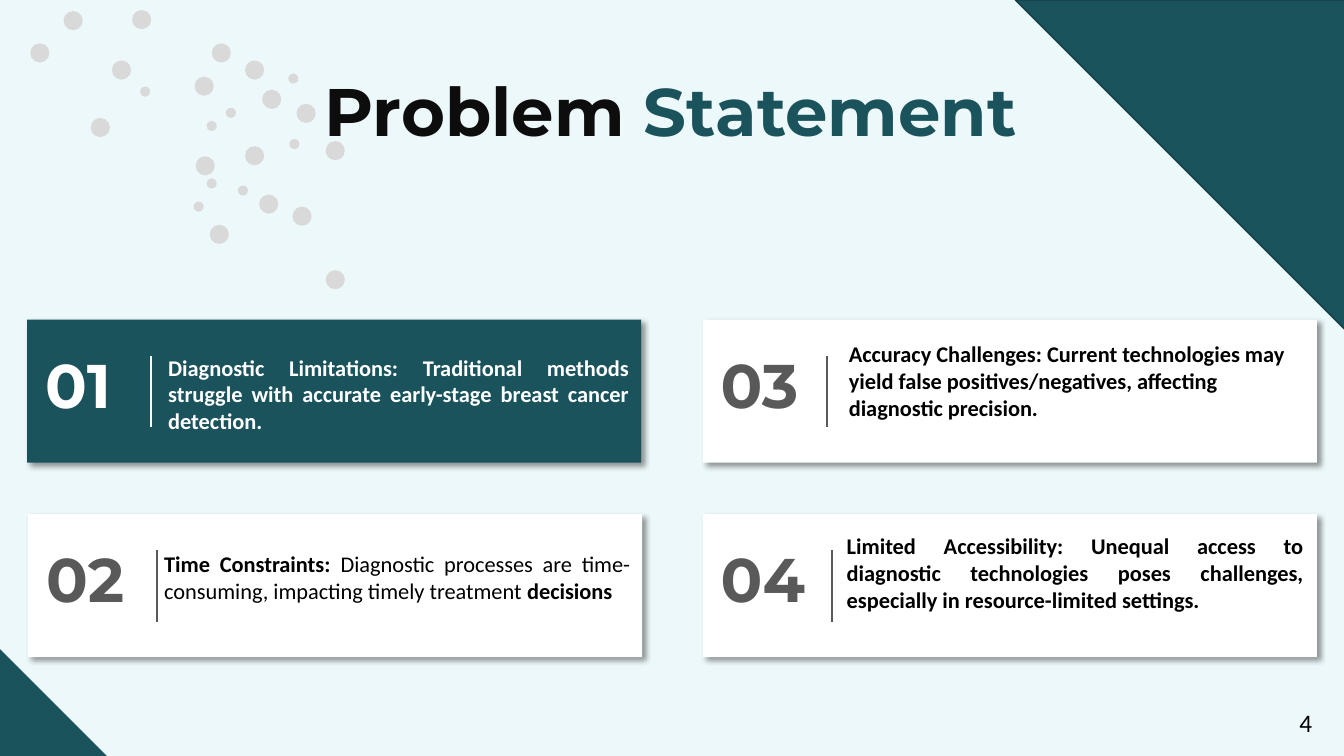
from lxml import etree
from pptx import Presentation
from pptx.dml import color
from pptx.enum import shapes, text
from pptx.oxml import ns
from pptx.util import Inches, Pt

TEAL, DARK_TEAL, PALE = "1A535C", "133D44", "EDF8FA"
WHITE, BLACK, INK, GREY, DOT = "FFFFFF", "000000", "0D0D0D", "595959", "D9D9D9"
HEADING, BODY = "Montserrat", "Calibri"
LEFT, JUSTIFY, CENTER = text.PP_ALIGN.LEFT, text.PP_ALIGN.JUSTIFY, text.PP_ALIGN.CENTER


def rgb(value):
    return color.RGBColor.from_string(value)


class Deck:
    """Holds the presentation, its current slide and the shared style."""

    def __init__(self, width, height):
        self.deck = Presentation()
        self.deck.slide_width, self.deck.slide_height = Inches(width), Inches(height)
        self.slide = self.deck.slides.add_slide(self.deck.slide_layouts[6])
        self.slide.background.fill.solid()
        self.slide.background.fill.fore_color.rgb = rgb(PALE)

    def shape(self, kind, left, top, width, height, fill, outline=None):
        item = self.slide.shapes.add_shape(
            kind, Inches(left), Inches(top), Inches(width), Inches(height))
        item.shadow.inherit = False
        item.fill.solid()
        item.fill.fore_color.rgb = rgb(fill)
        if outline:
            item.line.color.rgb = rgb(outline)
            item.line.width = Pt(1)
        else:
            item.line.fill.background()
        return item

    def dots(self, places, size):
        for x, y in places:
            self.shape(shapes.MSO_SHAPE.OVAL, x, y, size, size, DOT)

    def panel(self, left, top, width, height, fill):
        panel = self.shape(shapes.MSO_SHAPE.RECTANGLE, left, top, width, height, fill)
        effects = panel.element.spPr.find(ns.qn("a:effectLst"))
        shadow = etree.SubElement(
            effects, ns.qn("a:outerShdw"), blurRad=str(Pt(4)), dist=str(Pt(3)),
            dir="2700000", algn="tl", rotWithShape="0")
        tint = etree.SubElement(shadow, ns.qn("a:srgbClr"), val=BLACK)
        etree.SubElement(tint, ns.qn("a:alpha"), val="40000")

    def rule(self, x, top, bottom, ink):
        rule = self.slide.shapes.add_connector(
            shapes.MSO_CONNECTOR.STRAIGHT, Inches(x), Inches(top), Inches(x), Inches(bottom))
        rule.line.color.rgb = rgb(ink)
        rule.line.width = Pt(1.5)
        etree.SubElement(rule.element.spPr, ns.qn("a:effectLst"))

    def text(self, left, top, width, height, runs, font, size, ink=None, bold=None, align=LEFT):
        box = self.slide.shapes.add_textbox(
            Inches(left), Inches(top), Inches(width), Inches(height))
        frame = box.text_frame
        frame.word_wrap = True
        frame.auto_size = text.MSO_AUTO_SIZE.SHAPE_TO_FIT_TEXT
        line = frame.paragraphs[0]
        line.alignment = align
        line.font.name, line.font.size, line.font.bold = font, Pt(size), bold
        if ink:
            line.font.color.rgb = rgb(ink)
        for words, run_ink, run_bold in runs:
            run = line.add_run()
            run.text = words
            if run_ink:
                run.font.color.rgb = rgb(run_ink)
            if run_bold is not None:
                run.font.bold = run_bold

    def card(self, left, top, number, runs, body, rule_x, fill=WHITE, ink=BLACK,
             accent=GREY, align=JUSTIFY):
        self.panel(left, top, 6.09, 1.42, fill)
        self.text(left + 0.08, top + 0.22, 1.11, 0.98, [(number, None, None)],
                  HEADING, 44, accent, True)
        bold = True if len(runs) == 1 else None
        self.text(*body, runs, BODY, 16, ink, bold, align)
        self.rule(rule_x, top + 0.36, top + 1.07, accent)

    def save(self):
        self.deck.save("out.pptx")


LARGE_DOTS = [
    (1.31, 0.1), (3.23, 2.68), (3.23, 1.4), (2.9, 2.05), (2.08, 2.23), (2.1, 0.43),
    (1.93, 0.76), (0.3, 0.43), (1.11, 0.6), (2.43, 0.6), (2.94, 1.03), (2.57, 1.93),
    (0.9, 1.17), (0.63, 0.11), (1.94, 1.55), (2.6, 0.89), (2.43, 1.45)]
SMALL_DOTS = [
    (2.87, 1.38), (2.24, 1.07), (2.86, 0.73), (1.92, 2), (2.05, 1.77), (2.36, 1.84),
    (1.39, 0.86), (2.05, 1.2)]
LIMITATIONS = [(
    "Diagnostic Limitations: Traditional methods struggle with accurate "
    "early-stage breast cancer detection.", None, None)]
TIME = [
    ("Time Constraints: ", None, True),
    ("Diagnostic processes are time-consuming, impacting timely treatment ", None, False),
    ("decisions", None, True)]
ACCURACY = [(
    "Accuracy Challenges: Current technologies may yield false positives/negatives, "
    "affecting diagnostic precision.", None, None)]
ACCESS = [(
    "Limited Accessibility: Unequal access to diagnostic technologies poses challenges, "
    "especially in resource-limited settings.", None, None)]


def main():
    deck = Deck(13.33, 7.5)
    deck.dots(LARGE_DOTS, 0.19)
    deck.dots(SMALL_DOTS, 0.1)

    triangle = shapes.MSO_SHAPE.RIGHT_TRIANGLE
    deck.shape(triangle, 0, 6.44, 1.06, 1.06, TEAL)
    top_corner = deck.shape(triangle, 10.07, 0, 3.27, 3.27, TEAL, DARK_TEAL)
    top_corner.rotation = 180

    title = [("Problem ", INK, None), ("Statement", TEAL, None)]
    deck.text(2.88, 0.64, 7.54, 0.91, title, HEADING, 48, bold=True, align=CENTER)

    upper, lower, right = 3.17, 5.1, 6.97
    deck.card(0.27, upper, "01", LIMITATIONS, (1.57, 3.46, 4.77, 0.91), 1.5,
              fill=TEAL, ink=WHITE, accent=WHITE)
    deck.card(0.28, lower, "02", TIME, (1.53, 5.41, 4.82, 0.64), 1.56)
    deck.card(right, upper, "03", ACCURACY, (8.32, 3.33, 4.68, 0.91), 8.2, align=LEFT)
    deck.card(right, lower, "04", ACCESS, (8.3, 5.23, 4.73, 0.91), 8.25)

    deck.text(12.79, 6.97, 0.44, 0.4, [("4", None, None)], BODY, 18, BLACK)
    deck.save()


if __name__ == "__main__":
    main()
